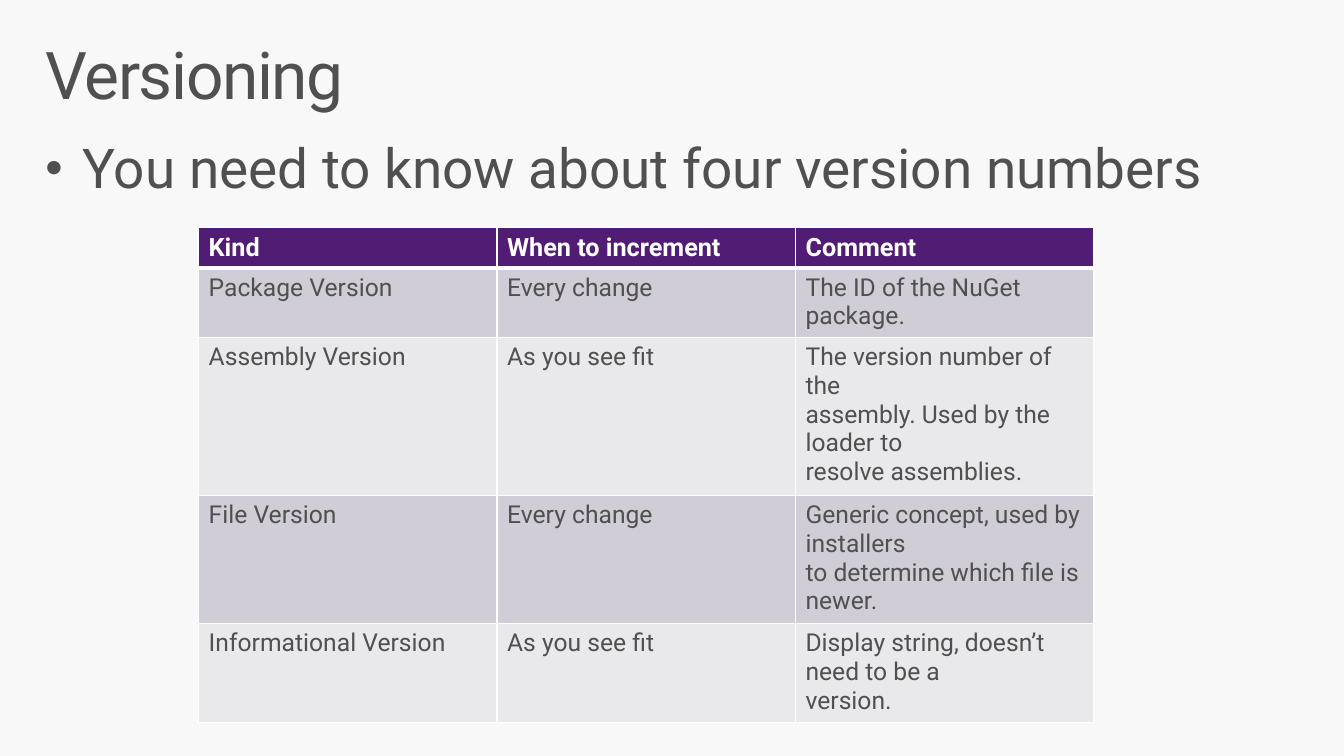
"""Builds the Versioning slide: a title, one bullet and a table of version kinds."""
import lxml.etree
import pptx
import pptx.dml.color
import pptx.oxml.ns
import pptx.util

TITLE = "Versioning"
BULLET = "You need to know about four version numbers"
HEADINGS = ("Kind", "When to increment", "Comment")
KINDS = (
    ("Package Version", "Every change", "The ID of the NuGet package."),
    ("Assembly Version", "As you see fit",
     "The version number of the\nassembly. Used by the loader to\nresolve assemblies."),
    ("File Version", "Every change",
     "Generic concept, used by installers\nto determine which file is newer."),
    ("Informational Version", "As you see fit",
     "Display string, doesn’t need to be a\nversion."),
)
LINES_PER_ROW = (1, 2, 5, 4, 3)

WIDTH, HEIGHT = 13.33, 7.5
MARGIN, TEXT_WIDTH = 0.29, 12.75
TABLE_LEFT, TABLE_TOP, COLUMN = 1.97, 2.26, 2.96
LINE, ROW_PADDING, INDENT = 0.29, 0.1, 0.37

FONT = "Roboto"
PAPER = pptx.dml.color.RGBColor(0xF8, 0xF8, 0xF8)
INK = pptx.dml.color.RGBColor(0x50, 0x50, 0x50)
WHITE = pptx.dml.color.RGBColor(0xFF, 0xFF, 0xFF)
PURPLE = pptx.dml.color.RGBColor(0x51, 0x1C, 0x74)
BANDS = (pptx.dml.color.RGBColor(0xE9, 0xE8, 0xEB),
         pptx.dml.color.RGBColor(0xD0, 0xCD, 0xD6))

inches = pptx.util.Inches


def add_element(parent, tag, **attributes):
    return lxml.etree.SubElement(parent, pptx.oxml.ns.qn(tag), attributes)


def write(frame, text, size, color=INK, bold=False, spacing=None, tracking=0, bullet=False):
    frame.word_wrap = True
    for number, line in enumerate(text.split("\n")):
        para = frame.add_paragraph() if number else frame.paragraphs[0]
        if spacing:
            para.line_spacing = spacing
        if bullet:
            properties = para._p.get_or_add_pPr()
            properties.set("marL", str(inches(INDENT)))
            properties.set("indent", str(-inches(INDENT)))
            add_element(properties, "a:buSzPct", val="90000")
            add_element(properties, "a:buFont", typeface="Arial")
            add_element(properties, "a:buChar", char="•")
        span = para.add_run()
        span.text = line
        span.font.name, span.font.size = FONT, pptx.util.Pt(size)
        span.font.bold, span.font.color.rgb = bold, color
        if tracking:
            span._r.get_or_add_rPr().set("spc", str(tracking * 100))


def add_text(page, text, top, height, **style):
    box = page.shapes.add_textbox(*map(inches, (MARGIN, top, TEXT_WIDTH, height)))
    frame = box.text_frame
    frame.margin_left = frame.margin_right = inches(0.16)
    frame.margin_top = frame.margin_bottom = inches(0.1)
    write(frame, text, spacing=0.9, **style)


def style_cell(cell, fill, bottom):
    properties = cell._tc.get_or_add_tcPr()
    for side, points in (("L", 1), ("R", 1), ("T", 1), ("B", bottom)):
        border = add_element(properties, f"a:ln{side}", w=str(pptx.util.Pt(points)))
        add_element(add_element(border, "a:solidFill"), "a:srgbClr", val=str(WHITE))
    cell.fill.solid()
    cell.fill.fore_color.rgb = fill


def add_kinds_table(page):
    rows = (HEADINGS,) + KINDS
    heights = [ROW_PADDING + LINE * lines for lines in LINES_PER_ROW]
    table = page.shapes.add_table(
        len(rows), len(HEADINGS), inches(TABLE_LEFT), inches(TABLE_TOP),
        inches(COLUMN * len(HEADINGS)), inches(sum(heights))).table
    for column in table.columns:
        column.width = inches(COLUMN)
    for index, texts in enumerate(rows):
        table.rows[index].height = inches(heights[index])
        header = index == 0
        for number, text in enumerate(texts):
            cell = table.cell(index, number)
            write(cell.text_frame, text, size=18 if header else 17.6,
                  color=WHITE if header else INK, bold=header)
            style_cell(cell, PURPLE if header else BANDS[index % 2],
                       bottom=3 if header else 1)
            if index == 1:
                top_border = cell._tc.tcPr.find(pptx.oxml.ns.qn("a:lnT"))
                top_border.set("w", str(pptx.util.Pt(3)))


def main():
    deck = pptx.Presentation()
    deck.slide_width, deck.slide_height = inches(WIDTH), inches(HEIGHT)
    page = deck.slides.add_slide(deck.slide_layouts[6])
    page.background.fill.solid()
    page.background.fill.fore_color.rgb = PAPER
    add_text(page, TITLE, top=0.32, height=0.98, size=47, tracking=-1)
    add_text(page, BULLET, top=1.3, height=0.8, size=39.2, bullet=True)
    add_kinds_table(page)
    deck.save("out.pptx")


if __name__ == "__main__":
    main()
